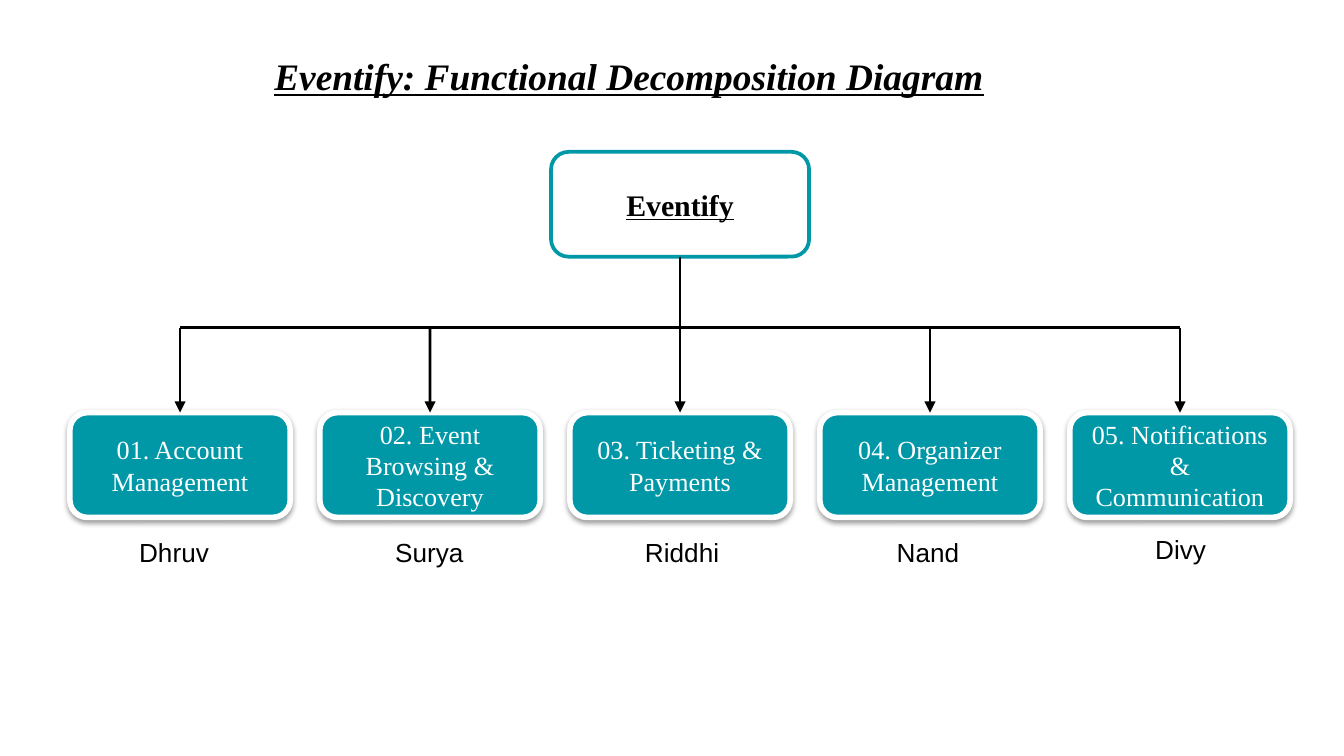
from lxml import etree
from pptx import Presentation
from pptx.dml.color import RGBColor
from pptx.enum.shapes import MSO_CONNECTOR as Connector, MSO_SHAPE as Shape
from pptx.enum.text import MSO_ANCHOR as Anchor, MSO_AUTO_SIZE as AutoSize, PP_ALIGN as Align
from pptx.oxml import parse_xml
from pptx.oxml.ns import nsdecls, qn
from pptx.util import Inches, Pt

TITLE = "Eventify: Functional Decomposition Diagram"
ROOT = "Eventify"
MODULES = [  # function, owner, left and top of the owner's name
    ("01. Account Management", "Dhruv", 0.59, 3.94),
    ("02. Event Browsing & Discovery", "Surya", 2.49, 3.94),
    ("03. Ticketing & Payments", "Riddhi", 4.37, 3.94),
    ("04. Organizer Management", "Nand", 6.2, 3.94),
    ("05. Notifications & Communication", "Divy", 8.08, 3.92),
]
COLORS = {"teal": "0097A7", "white": "FFFFFF", "black": "000000"}
SERIF, SANS = "Times New Roman", "Arial"

MODULE_LEFT, MODULE_TOP, MODULE_PITCH = 0.52, 3.07, 1.86
MODULE_WIDTH, BOX_HEIGHT = 1.64, 0.78
ROOT_LEFT, ROOT_TOP, ROOT_WIDTH = 4.1, 1.13, 1.92
BAR_Y = 2.44
TOP_SITE, BOTTOM_SITE = 0, 2


def rgb(name):
    return RGBColor.from_string(COLORS[name])


def write(frame, text, size, font, color="black", align=Align.CENTER,
          bold=False, italic=False, underline=False):
    paragraph = frame.paragraphs[0]
    paragraph.text = text
    paragraph.alignment = align
    style = paragraph.font
    style.name, style.size = font, Pt(size)
    style.bold, style.italic, style.underline = bold, italic, underline
    style.color.rgb = rgb(color)


def add_box(left, top, width, fill, line, line_width):
    box = slide.shapes.add_shape(Shape.ROUNDED_RECTANGLE, Inches(left), Inches(top),
                                 Inches(width), Inches(BOX_HEIGHT))
    box.shadow.inherit = False
    box.fill.solid()
    box.fill.fore_color.rgb = rgb(fill)
    box.line.color.rgb = rgb(line)
    box.line.width = Pt(line_width)
    frame = box.text_frame
    frame.word_wrap = True
    frame.vertical_anchor = Anchor.MIDDLE
    frame.margin_left = frame.margin_right = Inches(0.1)
    frame.margin_top = frame.margin_bottom = Inches(0.1)
    return box


def add_drop_shadow(box):
    effects = box._element.spPr.find(qn("a:effectLst"))
    effects.append(parse_xml(
        f'<a:outerShdw {nsdecls("a")} blurRad="{Pt(3.1)}" dist="{Pt(1.6)}" '
        'dir="5400000" rotWithShape="0">'
        f'<a:srgbClr val="{COLORS["black"]}"><a:alpha val="38000"/></a:srgbClr>'
        '</a:outerShdw>'))


def add_line(x1, y1, x2, y2, arrow=True):
    line = slide.shapes.add_connector(Connector.STRAIGHT, Inches(x1), Inches(y1),
                                      Inches(x2), Inches(y2))
    line.line.color.rgb = rgb("black")
    line.line.width = Pt(1.5)
    properties = line._element.spPr
    if arrow:
        etree.SubElement(properties.find(qn("a:ln")), qn("a:tailEnd"), type="triangle")
    etree.SubElement(properties, qn("a:effectLst"))
    return line


def add_text(left, top, width, height, wrap=True):
    frame = slide.shapes.add_textbox(Inches(left), Inches(top),
                                     Inches(width), Inches(height)).text_frame
    frame.word_wrap = wrap
    frame.auto_size = AutoSize.SHAPE_TO_FIT_TEXT
    return frame


presentation = Presentation()
presentation.slide_width = Inches(10)
presentation.slide_height = Inches(10 * 9 / 16)
slide = presentation.slides.add_slide(presentation.slide_layouts[6])

write(add_text(1.78, 0.35, 5.64, 0.44, wrap=False), TITLE, 20, SERIF,
      align=Align.RIGHT, bold=True, italic=True, underline=True)

root = add_box(ROOT_LEFT, ROOT_TOP, ROOT_WIDTH, "white", "teal", 2)
write(root.text_frame, ROOT, 16, SERIF, bold=True, underline=True)

centers = [MODULE_LEFT + i * MODULE_PITCH + MODULE_WIDTH / 2 for i in range(len(MODULES))]
middle = len(MODULES) // 2
add_line(centers[0], BAR_Y, centers[-1], BAR_Y, arrow=False)

for i, (center, (function, owner, owner_left, owner_top)) in enumerate(zip(centers, MODULES)):
    module = add_box(center - MODULE_WIDTH / 2, MODULE_TOP, MODULE_WIDTH, "teal", "white", 3)
    add_drop_shadow(module)
    write(module.text_frame, function, 14, SERIF, "white")

    branch = add_line(center, BAR_Y, center, MODULE_TOP)
    if i == middle:
        branch.begin_connect(root, BOTTOM_SITE)
    branch.end_connect(module, TOP_SITE)

    write(add_text(owner_left, owner_top, 1.41, 0.34), owner, 14, SANS)

presentation.save("out.pptx")
